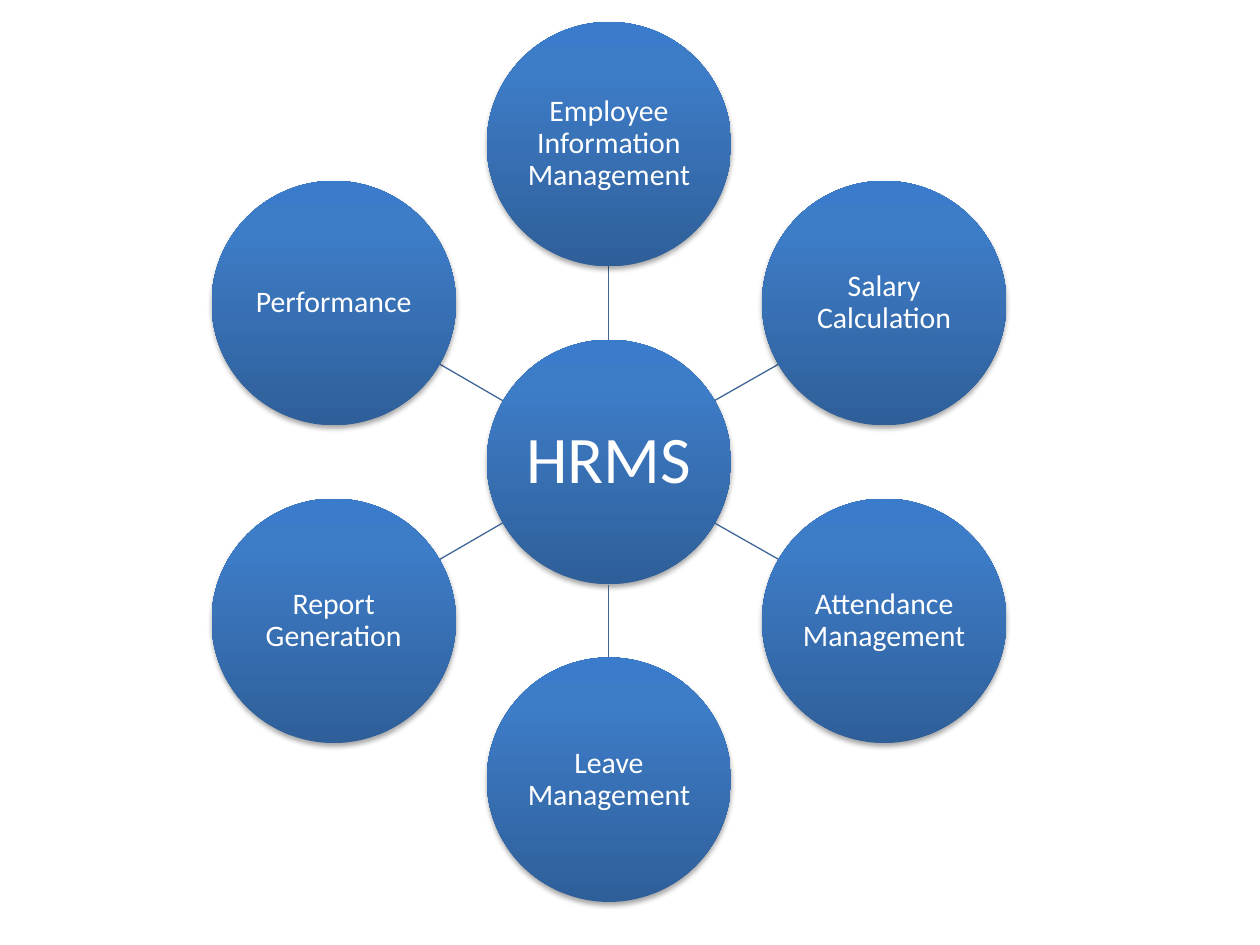
"""Build a slide with a hub circle and six linked module circles."""
from copy import deepcopy
from math import cos, radians, sin

from lxml.etree import SubElement
from pptx import Presentation
from pptx.dml.color import RGBColor
from pptx.enum.shapes import MSO_CONNECTOR, MSO_SHAPE
from pptx.enum.text import MSO_ANCHOR, PP_ALIGN
from pptx.oxml.ns import qn
from pptx.util import Inches, Pt

COLORS = {"low": "2F5F99", "mid": "3D7CC7", "high": "3A7CCB",
          "line": "3F6797", "text": "FFFFFF", "shade": "000000"}
STOPS = [("low", 0), ("mid", 0.8), ("high", 1)]
MODULES = ["Employee Information Management", "Salary Calculation",
           "Attendance Management", "Leave Management",
           "Report Generation", "Performance"]

deck = Presentation()
deck.slide_width, deck.slide_height = Inches(10), Inches(7.5)
slide = deck.slides.add_slide(deck.slide_layouts[6])
shapes = slide.shapes

mid_x, mid_y = 10 * 29 / 60, 7.5 * 22 / 45
radius = 0.97
orbit = 2.6 * radius


def point(angle, reach):
    """Return the spot at a clockwise angle from the top of the hub."""
    turn = radians(angle)
    return mid_x + reach * sin(turn), mid_y - reach * cos(turn)


def add_circle(label, x, y, size, inset):
    """Draw one shaded circle with its label."""
    disc = shapes.add_shape(MSO_SHAPE.OVAL, Inches(x - radius), Inches(y - radius),
                            Inches(2 * radius), Inches(2 * radius))
    disc.line.fill.background()
    disc.fill.gradient()
    disc.fill.gradient_angle = 90
    ramp = disc._element.spPr.find(qn("a:gradFill")).find(qn("a:gsLst"))
    ramp.append(deepcopy(ramp[-1]))
    for stop, (color, place) in zip(disc.fill.gradient_stops, STOPS):
        stop.color.rgb = RGBColor.from_string(COLORS[color])
        stop.position = place

    disc.shadow.inherit = False
    effects = disc._element.spPr.find(qn("a:effectLst"))
    shadow = SubElement(effects, qn("a:outerShdw"), blurRad=str(Pt(3.1)),
                        dist=str(Pt(1.8)), dir="5400000", rotWithShape="0")
    shade = SubElement(shadow, qn("a:srgbClr"), val=COLORS["shade"])
    SubElement(shade, qn("a:alpha"), val="35000")

    frame = disc.text_frame
    frame.text = label
    frame.word_wrap = True
    frame.vertical_anchor = MSO_ANCHOR.MIDDLE
    frame.margin_left = frame.margin_right = Inches(inset)
    frame.margin_top = frame.margin_bottom = Inches(inset)
    para = frame.paragraphs[0]
    para.alignment = PP_ALIGN.CENTER
    para.line_spacing = 0.9
    font = para.runs[0].font
    font.name, font.size = "Calibri", Pt(size)
    font.color.rgb = RGBColor.from_string(COLORS["text"])


add_circle("HRMS", mid_x, mid_y, 38, 0.03)
step = 360 / len(MODULES)
for index, label in enumerate(MODULES):
    angle = index * step
    ends = point(angle, radius) + point(angle, orbit - radius)
    link = shapes.add_connector(MSO_CONNECTOR.STRAIGHT,
                                *[Inches(round(end, 2)) for end in ends])
    link.line.width = Pt(0.75)
    link.line.color.rgb = RGBColor.from_string(COLORS["line"])
    SubElement(link._element.spPr, qn("a:effectLst"))
    add_circle(label, *point(angle, orbit), 17, 0.01)

deck.save("out.pptx")
